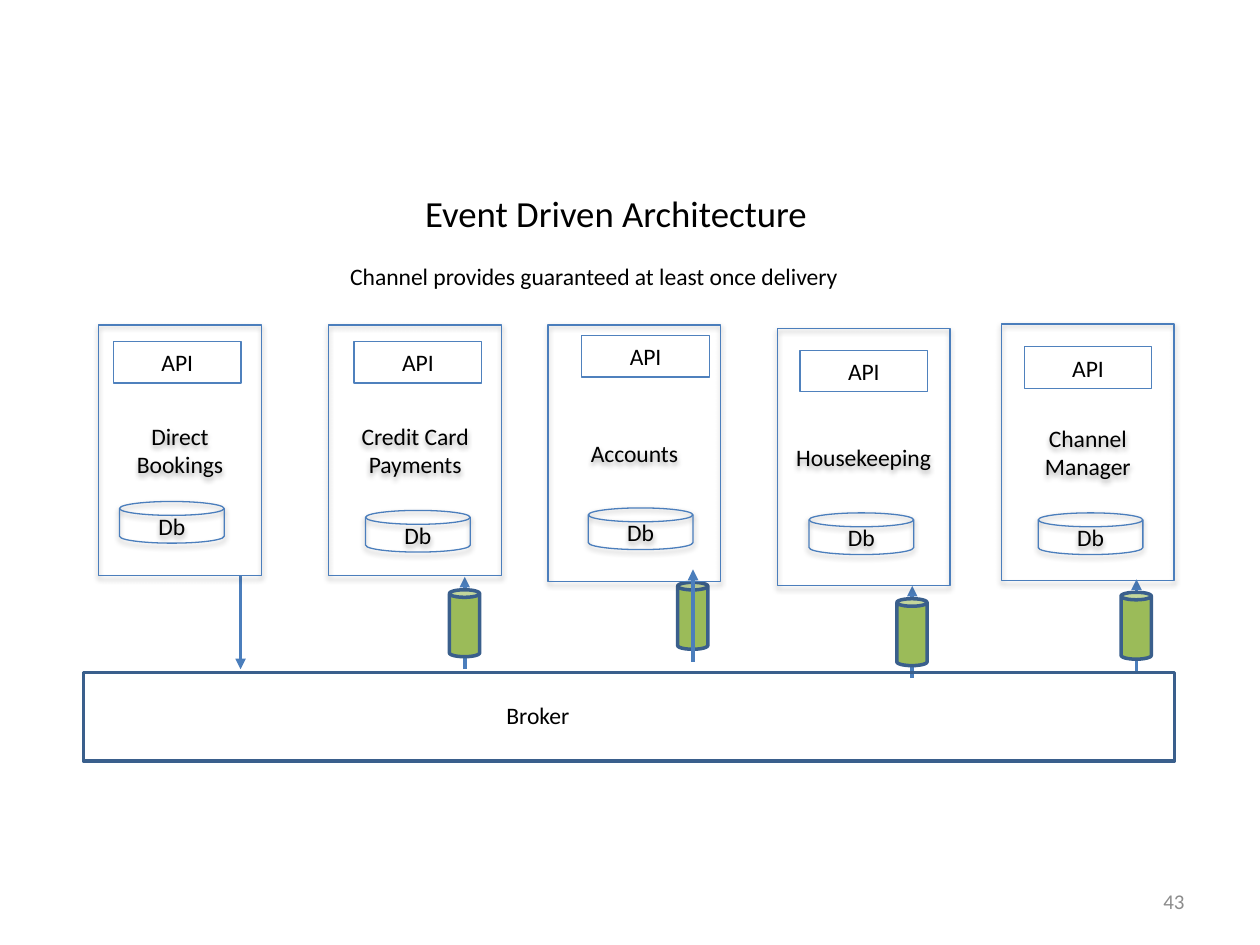
import pptx
import pptx.util
import pptx.dml.color
import pptx.enum.shapes
import pptx.enum.text
import lxml.etree
from pptx.oxml.ns import qn

Cm = pptx.util.Cm
Pt = pptx.util.Pt
Shape = pptx.enum.shapes.MSO_SHAPE
Align = pptx.enum.text.PP_ALIGN
Anchor = pptx.enum.text.MSO_ANCHOR

COLORS = {
    "text": "000000",
    "number": "8C8C8C",
    "line": "4B7EBC",
    "api": "4F81BD",
    "dark": "3A5F8C",
    "green": "9BBB59",
}


def color(name):
    return pptx.dml.color.RGBColor.from_string(COLORS[name])


def write(box, text, size=13.5, align=Align.CENTER, anchor=Anchor.MIDDLE, ink="text", wrap=True):
    frame = box.text_frame
    frame.text = text
    frame.word_wrap = wrap
    frame.vertical_anchor = anchor
    for paragraph in frame.paragraphs:
        paragraph.alignment = align
        paragraph.font.name = "Calibri"
        paragraph.font.size = Pt(size)
        paragraph.font.color.rgb = color(ink)


deck = pptx.Presentation()
deck.slide_width, deck.slide_height = Cm(25.4), Cm(19.05)
page = deck.slides.add_slide(deck.slide_layouts[5])

# Title
title = page.shapes.title
title.left, title.top, title.width, title.height = Cm(5.51), Cm(3.71), Cm(13.82), Cm(1.14)
write(title, "Event Driven Architecture", size=21, anchor=Anchor.TOP)

# Services: name, card, API position, database position, arrow x, start and end
services = [
    ("Direct\nBookings", (1.98, 6.55, 3.3, 5.05), (2.29, 6.88), (2.41, 10.11), (4.85, 11.61, 13.49)),
    ("Credit Card\nPayments", (6.63, 6.55, 3.48, 5.05), (7.14, 6.88), (7.37, 10.29), (9.37, 13.49, 11.63)),
    ("Accounts", (11.05, 6.55, 3.48, 5.18), (11.73, 6.76), (11.86, 10.24), (13.97, 13.34, 11.48)),
    ("Housekeeping", (15.67, 6.63, 3.48, 5.18), (16.13, 7.06), (16.31, 10.34), (18.39, 13.67, 11.81)),
    ("Channel Manager", (20.19, 6.53, 3.48, 5.18), (20.65, 6.99), (20.93, 10.34), (22.91, 13.54, 11.68)),
]

# Outlined shapes: kind, place, text, line colour, line width, fill, shadow
parts = [(Shape.RECTANGLE, (1.68, 13.56, 22, 1.78), "", "dark", 2, None, False)]
for name, card, api, database, (x, start, end) in services:
    if start > end:
        queue = (x - 0.31, end + 0.26, 0.61, 1.35)
        parts.append((Shape.CAN, queue, "", "dark", 2, "green", False))
    parts += [
        (Shape.RECTANGLE, card, name, "line", 0.75, None, True),
        (Shape.RECTANGLE, (*api, 2.57, 0.84), "API", "api", 0.75, None, False),
        (Shape.FLOWCHART_MAGNETIC_DISK, (*database, 2.11, 0.84), "Db", "line", 0.75, None, True),
    ]

# Arrows between services and broker
arrows = {}
for name, card, api, database, (x, start, end) in services:
    arrow = page.shapes.add_connector(
        pptx.enum.shapes.MSO_CONNECTOR.STRAIGHT, Cm(x), Cm(start), Cm(x), Cm(end))
    arrow.line.color.rgb = color("line")
    arrow.line.width = Pt(2)
    properties = arrow.line._get_or_add_ln()
    lxml.etree.SubElement(properties, qn("a:tailEnd"), type="triangle")
    lxml.etree.SubElement(properties.getparent(), qn("a:effectLst"))
    arrows[name] = arrow

# Broker, queues, cards, APIs and databases
for kind, place, text, line, width, fill, shadow in parts:
    shape = page.shapes.add_shape(kind, *map(Cm, place))
    shape.shadow.inherit = False
    shape.line.color.rgb = color(line)
    shape.line.width = Pt(width)
    if fill:
        shape.fill.solid()
        shape.fill.fore_color.rgb = color(fill)
    else:
        shape.fill.background()
    if shadow:
        effects = shape._element.spPr.find(qn("a:effectLst"))
        outer = lxml.etree.SubElement(
            effects, qn("a:outerShdw"), blurRad=str(Pt(3.1)), dist=str(Pt(1.8)),
            dir="5400000", rotWithShape="0")
        tint = lxml.etree.SubElement(outer, qn("a:srgbClr"), val=COLORS["text"])
        lxml.etree.SubElement(tint, qn("a:alpha"), val="35000")
    if text:
        write(shape, text)

# The Accounts arrow runs in front of its queue
page.shapes._spTree.append(arrows["Accounts"]._element)

# Labels and page number
labels = [
    ((6.81, 5.16, 10.49, 0.84), "Channel provides guaranteed at least once delivery",
     13.5, Align.LEFT, Anchor.TOP, "text", True),
    ((9.96, 14, 1.8, 0.84), "Broker", 13.5, Align.LEFT, Anchor.TOP, "text", False),
    ((18.21, 17.65, 5.92, 1.02), "43", 12, Align.RIGHT, Anchor.MIDDLE, "number", True),
]
for place, *wording in labels:
    write(page.shapes.add_textbox(*map(Cm, place)), *wording)

deck.save("out.pptx")
